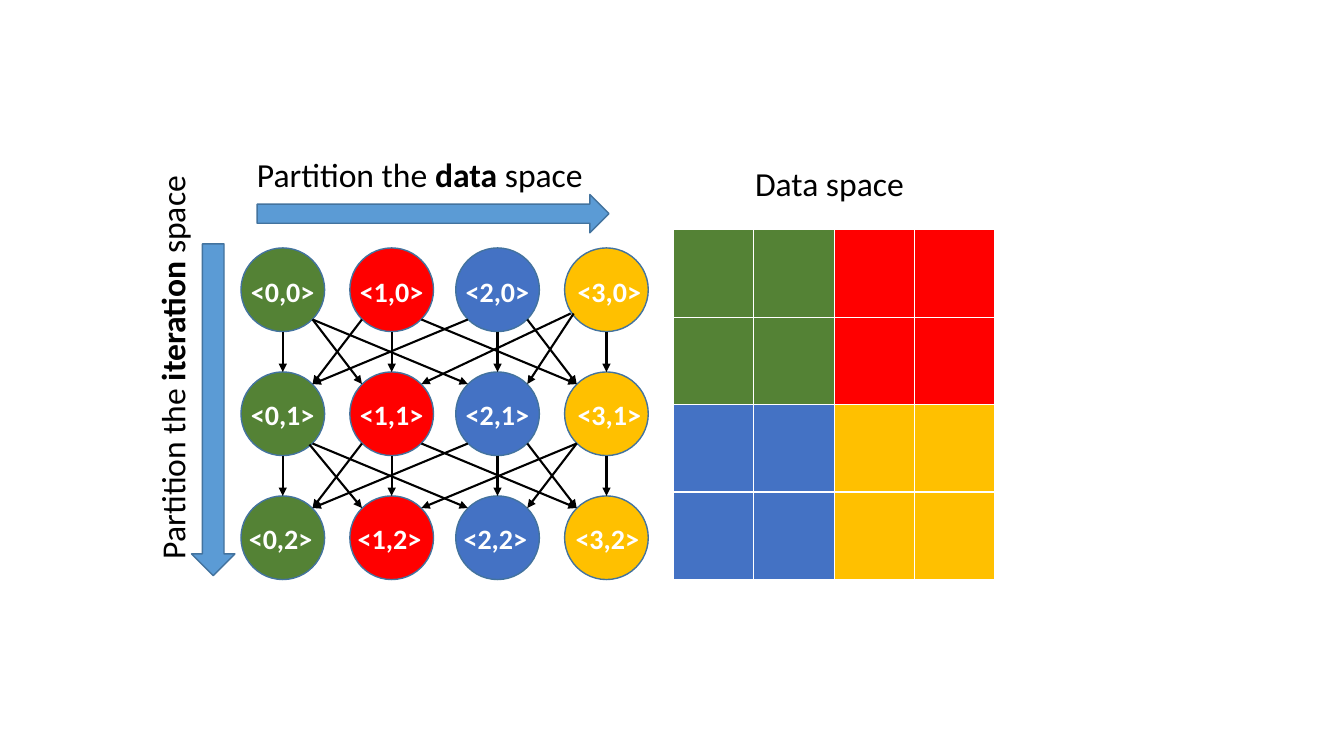
from pptx import Presentation
from pptx.dml.color import RGBColor
from pptx.enum.shapes import MSO_CONNECTOR, MSO_SHAPE
from pptx.enum.text import MSO_AUTO_SIZE
from pptx.oxml.ns import qn
from pptx.util import Pt
from lxml.etree import SubElement

EMU_PER_PX = 9144  # 100 px to the inch
GREEN, RED, BLUE, GOLD = "548235", "FF0000", "4472C4", "FFC000"
OUTLINE, ARROW_FILL, BLACK, WHITE = "43739E", "5B9BD5", "000000", "FFFFFF"
NODE_COLORS = (GREEN, RED, BLUE, GOLD)
NODE_LEFTS = (0, 108, 213, 321)
NODE_SIZE, ROW_PITCH, STEPS = 83, 123, 3
RIM = 12  # inset of the circle's 45° points from its bounding box
# Small shifts of arrow starts: (step, source, target) -> (dx, dy)
START_SHIFTS = {(0, 3, 1): (-6, -6), (0, 3, 2): (-3, -6), (1, 0, 1): (-3, 1)}


def px(length):
    return round(length * EMU_PER_PX)


def color(hex_string):
    return RGBColor.from_string(hex_string)


def add_shape(slide, kind, box, fill):
    shape = slide.shapes.add_shape(kind, *map(px, box))
    shape.shadow.inherit = False
    shape.fill.solid()
    shape.fill.fore_color.rgb = color(fill)
    shape.line.color.rgb = color(OUTLINE)
    shape.line.width = Pt(1)


def add_text(slide, box, runs, size, ink, bold=None, rotation=0):
    """Runs are (wording, bold) pairs; bold=None leaves weight to the paragraph."""
    label = slide.shapes.add_textbox(*map(px, box))
    label.rotation = rotation
    frame = label.text_frame
    frame.word_wrap = False
    frame.auto_size = MSO_AUTO_SIZE.SHAPE_TO_FIT_TEXT
    paragraph = frame.paragraphs[0]
    font = paragraph.font
    font.name, font.size, font.bold = "Calibri", Pt(size), bold
    font.color.rgb = color(ink)
    for wording, run_bold in runs:
        run = paragraph.add_run()
        run.text = wording
        run.font.bold = run_bold


def add_arrow(slide, start, end):
    arrow = slide.shapes.add_connector(
        MSO_CONNECTOR.STRAIGHT, *map(px, (*start, *end)))
    arrow.line.color.rgb = color(BLACK)
    arrow.line.width = Pt(1.5)
    properties = arrow.line._get_or_add_ln()
    SubElement(properties, qn("a:tailEnd"), type="triangle")
    SubElement(properties.getparent(), qn("a:effectLst"))


def add_partition_arrow(slide, box, kind, text_box, space, rotation=0):
    """Block arrow with its caption naming the partitioned space."""
    add_shape(slide, kind, box, ARROW_FILL)
    runs = [("Partition the ", None), (space, True), (" space", None)]
    add_text(slide, text_box, runs, 24, BLACK, rotation=rotation)


def add_dependences(slide, left, top, step):
    """Arrows from the nodes of one step to those of the next."""
    bottom = top + NODE_SIZE
    next_top = top + ROW_PITCH
    for source, source_left in enumerate(NODE_LEFTS):
        for target, target_left in enumerate(NODE_LEFTS):
            if source + target == 3:  # opposite partitions are not linked
                continue
            if source == target:
                middle = left + source_left + NODE_SIZE / 2
                add_arrow(slide, (middle, bottom), (middle, next_top))
                continue
            right_rim = NODE_SIZE - RIM
            out, into = (right_rim, RIM) if target > source else (RIM, right_rim)
            dx, dy = START_SHIFTS.get((step, source, target), (0, 0))
            add_arrow(slide,
                      (left + source_left + out + dx, bottom - RIM + dy),
                      (left + target_left + into, next_top + RIM))


def add_iteration_graph(slide, left, top):
    for step in range(STEPS):
        row_top = top + step * ROW_PITCH
        for part, (node_left, fill) in enumerate(zip(NODE_LEFTS, NODE_COLORS)):
            x = left + node_left
            add_shape(slide, MSO_SHAPE.OVAL,
                      (x, row_top, NODE_SIZE, NODE_SIZE), fill)
            # The last column and last row of labels sit slightly off centre
            label_x = x + (3 if part == 3 else 0) - (2 if step == 2 else 0)
            add_text(slide, (label_x, row_top + 21 - (step > 0), NODE_SIZE, 44),
                     [(f"<{part},{step}>", None)], 20, WHITE, bold=True)
    for step in range(STEPS - 1):
        add_dependences(slide, left, top + step * ROW_PITCH, step)


def add_data_space(slide, left, top, width, height):
    """Heading above a 4 x 4 grid coloured by quadrant."""
    add_text(slide, (left + 71, top - 71, 190, 50),
             [("Data space", None)], 24, BLACK)
    grid = slide.shapes.add_table(
        4, 4, *map(px, (left, top, width, height))).table
    for row in range(4):
        for column in range(4):
            fill = grid.cell(row, column).fill
            fill.solid()
            fill.fore_color.rgb = color(NODE_COLORS[row // 2 * 2 + column // 2])


def main():
    deck = Presentation()
    deck.slide_width, deck.slide_height = px(1333), px(750)
    slide = deck.slides.add_slide(deck.slide_layouts[6])
    # Partition directions
    add_partition_arrow(slide, (255, 193, 349, 38), MSO_SHAPE.RIGHT_ARROW,
                        (245, 148, 384, 50), "data")
    add_partition_arrow(slide, (190, 242, 43, 329), MSO_SHAPE.DOWN_ARROW,
                        (-36, 333, 413, 50), "iteration", rotation=270)
    # Iterations and the data they touch
    add_iteration_graph(slide, 239, 246)
    add_data_space(slide, 668, 228, 319, 347)
    deck.save("out.pptx")


if __name__ == "__main__":
    main()
